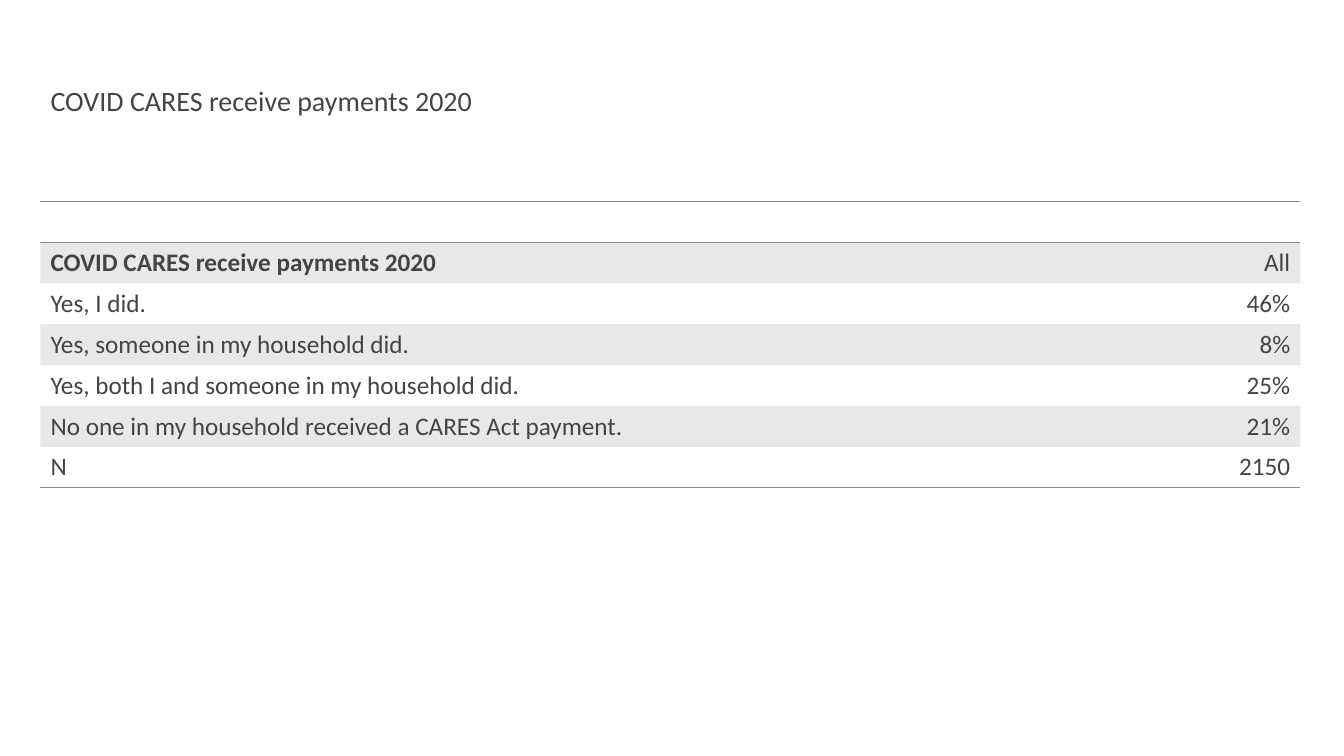
import pptx
import pptx.util
import pptx.dml.color
import pptx.enum.text
import pptx.oxml
import pptx.oxml.ns
import lxml.etree

Cm = pptx.util.Cm
Pt = pptx.util.Pt
RGBColor = pptx.dml.color.RGBColor
PP_ALIGN = pptx.enum.text.PP_ALIGN
MSO_ANCHOR = pptx.enum.text.MSO_ANCHOR
qn = pptx.oxml.ns.qn

DARK_GRAY = RGBColor(0x44, 0x44, 0x44)
RULE_GRAY = RGBColor(0x88, 0x88, 0x88)
NO_STYLE_NO_GRID = "{2D5ABB26-0587-4C30-8999-92F81FD0307C}"
QUESTION = "COVID CARES receive payments 2020"
ROWS = [
    ("", ""),
    (QUESTION, "All"),
    ("Yes, I did.", "46%"),
    ("Yes, someone in my household did.", "8%"),
    ("Yes, both I and someone in my household did.", "25%"),
    ("No one in my household received a CARES Act payment.", "21%"),
    ("N", "2150"),
]
HEADER_ROW = 1
RULED_SIDES = {0: ("lnT", "lnB"), len(ROWS) - 1: ("lnB",)}


def add_text(paragraph, text, size, bold=False):
    run = paragraph.add_run()
    run.text = text
    run.font.name = "Calibri"
    run.font.size = Pt(size)
    run.font.bold = bold
    run.font.color.rgb = DARK_GRAY


def add_border(cell, side, position):
    border = pptx.oxml.parse_xml(
        f'<a:{side} {pptx.oxml.ns.nsdecls("a")} w="{Pt(1)}">'
        f'<a:solidFill><a:srgbClr val="{RULE_GRAY}"/></a:solidFill></a:{side}>'
    )
    cell._tc.get_or_add_tcPr().insert(position, border)


presentation = pptx.Presentation()
presentation.slide_width = Cm(33.87)
presentation.slide_height = Cm(19.05)
slide = presentation.slides.add_slide(presentation.slide_layouts[5])

title = slide.shapes.title
title.left, title.top = Cm(1.02), Cm(1.02)
title.width, title.height = Cm(31.75), Cm(2.06)
title.text_frame.vertical_anchor = MSO_ANCHOR.BOTTOM
title.text_frame.word_wrap = True
title_paragraph = title.text_frame.paragraphs[0]
title_paragraph.alignment = PP_ALIGN.LEFT
title_paragraph.line_spacing = 0.9
add_text(title_paragraph, QUESTION, 20)

table_frame = slide.shapes.add_table(
    len(ROWS), 2, Cm(1.02), Cm(5.08), Cm(31.75), Cm(1.03 * len(ROWS))
)
table = table_frame.table
table.first_row = False
table.horz_banding = False
table._tbl.tblPr.find(qn("a:tableStyleId")).text = NO_STYLE_NO_GRID

for row_index, row in enumerate(ROWS):
    table.rows[row_index].height = Cm(1.03)
    for column_index, text in enumerate(row):
        cell = table.cell(row_index, column_index)
        is_header = row_index == HEADER_ROW
        cell.vertical_anchor = MSO_ANCHOR.BOTTOM if is_header else MSO_ANCHOR.MIDDLE
        if row_index % 2:
            cell.fill.solid()
            cell.fill.fore_color.rgb = DARK_GRAY
            color = cell._tc.tcPr.find(".//" + qn("a:srgbClr"))
            lxml.etree.SubElement(color, qn("a:alpha")).set("val", "12000")
        else:
            cell.fill.background()
        for position, side in enumerate(RULED_SIDES.get(row_index, ())):
            add_border(cell, side, position)
        if text:
            paragraph = cell.text_frame.paragraphs[0]
            paragraph.alignment = PP_ALIGN.RIGHT if column_index else PP_ALIGN.LEFT
            add_text(paragraph, text, 18, is_header and column_index == 0)

presentation.save("out.pptx")
